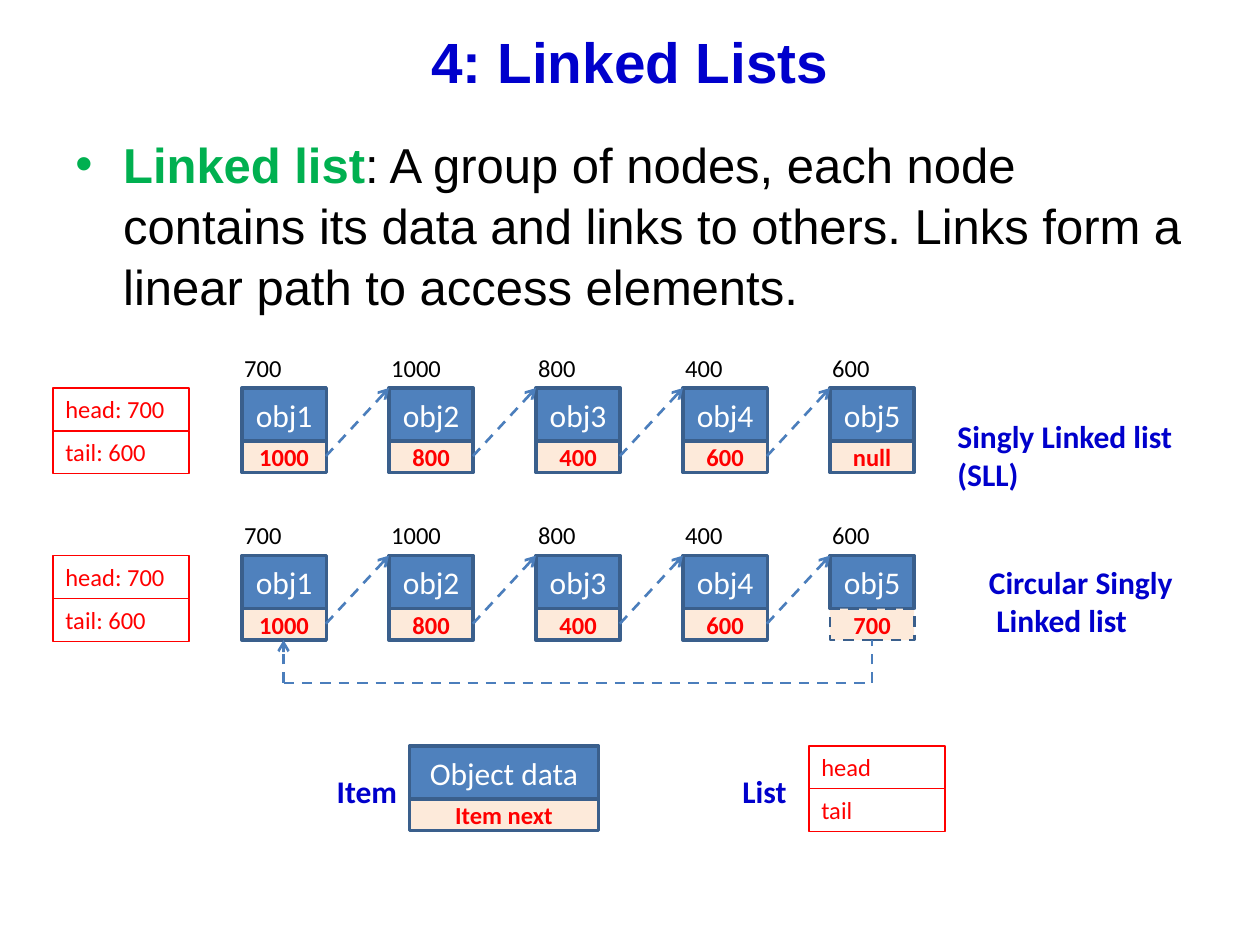
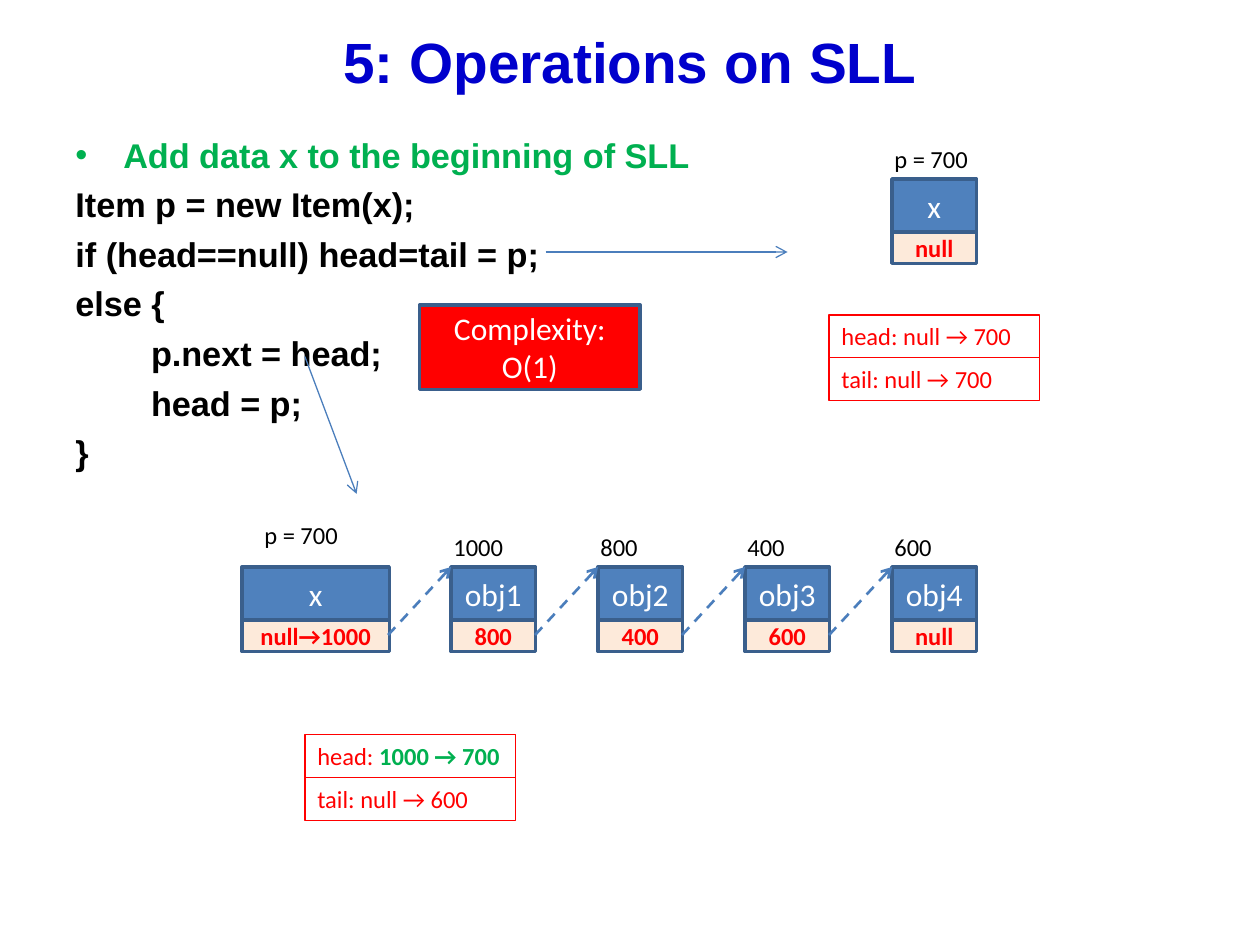
from lxml.etree import SubElement
from pptx import Presentation
from pptx.dml.color import RGBColor
from pptx.enum.dml import MSO_LINE
from pptx.enum.shapes import MSO_CONNECTOR, MSO_SHAPE
from pptx.enum.text import MSO_ANCHOR, PP_ALIGN
from pptx.oxml.ns import qn
from pptx.util import Inches, Pt

BLUE, GREEN, RED = "0000CC", "00B050", "FF0000"
BLACK, WHITE = "000000", "FFFFFF"
NODE, EDGE, PEACH, LINK = "4F81BD", "3A5F8C", "FDEADA", "4B7EBC"
HEAD, BODY = "Arial", "Calibri"
PITCH = 7 / 6
WIDE, TALL, FOOT = 0.67, 0.42, 0.25
ROW = 0.34


def paint(text):
    """Turn a hex string into a colour."""
    return RGBColor.from_string(text)


class Deck:
    """Holds the style and the current slide."""

    def __init__(self):
        """Start an empty deck of 10 by 7.5 inches."""
        self.prs = Presentation()
        self.prs.slide_width = Inches(10)
        self.prs.slide_height = Inches(7.5)

    def page(self, title):
        """Add a slide with its title."""
        self.slide = self.prs.slides.add_slide(self.prs.slide_layouts[6])
        box = self.label(0.5, 0.17, 9, 0.62, [title], 32.4, BLUE, True, HEAD,
                         PP_ALIGN.CENTER)
        box.text_frame.vertical_anchor = MSO_ANCHOR.MIDDLE

    def style(self, run, size, color, bold=False, font=BODY):
        """Format one run."""
        run.font.size = Pt(size)
        run.font.name = font
        run.font.bold = bold
        run.font.color.rgb = paint(color)

    def put(self, frame, lines, size, color, bold=False, font=BODY,
            align=PP_ALIGN.LEFT):
        """Put lines of text in a frame, one paragraph each."""
        frame.word_wrap = True
        frame.text = "\n".join(lines)
        for para in frame.paragraphs:
            para.alignment = align
            for run in para.runs:
                self.style(run, size, color, bold, font)

    def extend(self, para, text, size, color, bold, font=BODY):
        """Add a run in another style to a paragraph."""
        run = para.add_run()
        run.text = text
        self.style(run, size, color, bold, font)

    def label(self, x, y, w, h, lines, size=14, color=BLACK, bold=False,
              font=BODY, align=PP_ALIGN.LEFT):
        """Add a text box."""
        box = self.slide.shapes.add_textbox(
            Inches(x), Inches(y), Inches(w), Inches(h))
        self.put(box.text_frame, lines, size, color, bold, font, align)
        return box

    def indent(self, para, left, first=0):
        """Set the left margin and first line of a paragraph."""
        props = para._p.get_or_add_pPr()
        props.set("marL", str(Inches(left)))
        props.set("indent", str(Inches(first)))
        return props

    def body(self, w, h, lines, size, color, bold):
        """Add the main text, led by a green bullet line."""
        box = self.label(0.5, 1, w, h, lines, size, color, bold, HEAD)
        paras = box.text_frame.paragraphs
        for para in paras:
            para.line_spacing = 1.04
            para.space_before = Pt(size * 0.2)
        self.style(paras[0].runs[0], size, GREEN, True, HEAD)
        props = self.indent(paras[0], 0.38, -0.38)
        SubElement(props, qn("a:buFont"), typeface=HEAD)
        SubElement(props, qn("a:buChar"), char="\u2022")
        return paras

    def rect(self, x, y, w, h, fill, edge, width):
        """Add a plain rectangle, hollow when fill is None."""
        box = self.slide.shapes.add_shape(
            MSO_SHAPE.RECTANGLE, Inches(x), Inches(y), Inches(w), Inches(h))
        box.shadow.inherit = False
        if fill:
            box.fill.solid()
            box.fill.fore_color.rgb = paint(fill)
        else:
            box.fill.background()
        box.line.color.rgb = paint(edge)
        box.line.width = Pt(width)
        return box

    def block(self, x, y, w, h, text, fill, size=18, color=WHITE, bold=False):
        """Add a filled box with centred text."""
        box = self.rect(x, y, w, h, fill, EDGE, 2)
        self.put(box.text_frame, [text], size, color, bold,
                 align=PP_ALIGN.CENTER)
        box.text_frame.vertical_anchor = MSO_ANCHOR.MIDDLE
        return box

    def node(self, x, y, data, link, w=WIDE):
        """Add a list node: data above, link below; return the link box."""
        top = self.block(x, y, w, TALL, data, NODE)
        low = self.block(x, y + TALL, w, FOOT, link, PEACH, 14, RED, True)
        for box in (top, low):
            frame = box.text_frame
            frame.margin_left = frame.margin_right = Inches(0.02)
            frame.margin_top = frame.margin_bottom = 0
        return low

    def ends(self, x, y, w, head, tail):
        """Add the head and tail cells of a list; return the head frame."""
        frames = []
        for i, text in enumerate((head, tail)):
            box = self.rect(x, y + i * ROW, w, ROW, None, RED, 0.75)
            self.put(box.text_frame, [text], 14, RED)
            box.text_frame.vertical_anchor = MSO_ANCHOR.TOP
            frames.append(box.text_frame)
        return frames[0]

    def line(self, x1, y1, x2, y2, dash=True, arrow=True):
        """Add a line: dashed links are thicker than plain pointers."""
        link = self.slide.shapes.add_connector(
            MSO_CONNECTOR.STRAIGHT,
            Inches(x1), Inches(y1), Inches(x2), Inches(y2))
        link.line.color.rgb = paint(LINK)
        link.line.width = Pt(1.5 if dash else 0.75)
        if dash:
            link.line.dash_style = MSO_LINE.DASH
        props = link._element.spPr
        if arrow:
            SubElement(props.find(qn("a:ln")), qn("a:tailEnd"), type="arrow")
        SubElement(props, qn("a:effectLst"))

    def chain(self, x, y, places, last):
        """Add a row of linked nodes; return the last link box."""
        for i, place in enumerate(places):
            left = x + i * PITCH
            after = places[i + 1] if i + 1 < len(places) else last
            low = self.node(left, y, f"obj{i + 1}", after)
            self.label(left - 0.08, y - 0.33, WIDE, ROW, [place])
            if i:
                self.hop(left, y)
        return low

    def hop(self, x, y):
        """Link the node before to the node at x."""
        self.line(x - 0.5, y + 0.54, x, y)


def lists(deck):
    """Build the slide that shows both kinds of list."""
    deck.page("4: Linked Lists")
    paras = deck.body(9, 1.5, ["Linked list"], 28, BLACK, False)
    deck.extend(paras[0], ": A group of nodes, each node contains its data "
                "and links to others. Links form a linear path to access "
                "elements.", 28, BLACK, False, HEAD)

    places = ["700", "1000", "800", "400", "600"]
    for y, last in ((3.08, "null"), (4.41, "700")):
        low = deck.chain(1.92, y, places, last)
        deck.ends(0.42, y, 1.08, "head: 700", "tail: 600")
    low.line.width = Pt(1.5)
    low.line.dash_style = MSO_LINE.DASH

    start, end, base, turn = 2.25, 6.92, 5.08, 5.42
    deck.line(start, turn, start, base)
    deck.line(start, turn, end, turn, arrow=False)
    deck.line(end, turn, end, base, arrow=False)

    deck.label(7.5, 3.26, 1.92, 0.71, ["Singly Linked list", "(SLL)"],
               18, BLUE, True)
    ring = deck.label(7.75, 4.42, 1.83, 0.71,
                      ["Circular Singly", "Linked list"], 18, BLUE, True)
    deck.indent(ring.text_frame.paragraphs[1], 0.06)

    for x, text in ((2.33, "Item"), (5.42, "List")):
        deck.label(x, 6.08, 0.92, 0.4, [text], 18, BLUE, True,
                   align=PP_ALIGN.RIGHT)
    deck.node(3.25, 5.92, "Object data", "Item next", 1.5)
    deck.ends(6.42, 5.92, 1.08, "head", "tail")


def insert(deck):
    """Build the slide on adding to the beginning."""
    deck.page("5: Operations on SLL")
    paras = deck.body(5.42, 2.42, [
        "Add data x to the beginning of SLL", "Item p = new Item(x);",
        "if (head==null) head=tail = p;", "else {", "p.next = head;",
        "head = p;", "}"], 19.6, BLACK, True)
    for para in paras[4:6]:
        deck.indent(para, 0.6)

    deck.node(7.08, 1.42, "x", "null")
    deck.label(7, 1.09, 1, ROW, ["p = 700"])
    deck.ends(6.58, 2.5, 1.67, "head: null \u2192 700", "tail: null \u2192 700")

    deck.node(1.92, 4.5, "x", "null\u21921000", 1.17)
    deck.label(2, 4.08, 1, ROW, ["p = 700"])
    deck.chain(3.58, 4.5, ["1000", "800", "400", "600"], "null")
    deck.hop(3.58, 4.5)
    head = deck.ends(2.42, 5.83, 1.67, "head: ", "tail: null \u2192 600")
    deck.extend(head.paragraphs[0], "1000 \u2192 700", 14, GREEN, True)

    deck.line(4.33, 2, 6.25, 2, dash=False)
    deck.line(2.42, 2.83, 2.83, 3.92, dash=False)
    deck.block(3.33, 2.42, 1.75, 0.67, "Complexity: O(1)", RED)


deck = Deck()
lists(deck)
insert(deck)
deck.prs.save("out.pptx")
